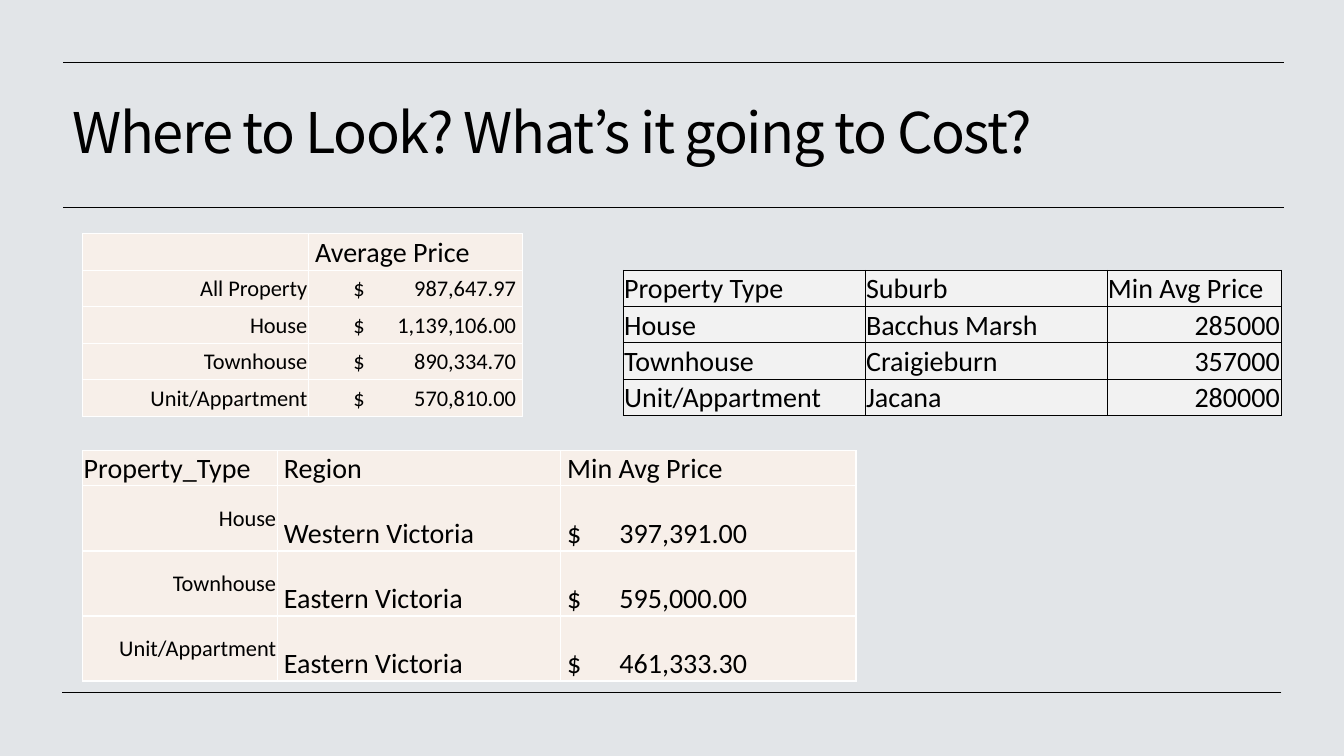
"""Build the property price slide with its three price tables."""
from dataclasses import dataclass

from lxml.etree import SubElement
from pptx import Presentation
from pptx.dml.color import RGBColor
from pptx.enum.shapes import MSO_CONNECTOR as Connector
from pptx.enum.text import MSO_ANCHOR as Anchor, PP_ALIGN as Align
from pptx.oxml.ns import qn
from pptx.util import Emu, Inches, Pt

COLORS = {
    "background": "E2E5E8",
    "ink": "000000",
    "white": "FFFFFF",
    "cream": "F7EFE9",
    "grey": "F2F2F2",
}
BODY_FONT = "Calibri"
TITLE_FONT = "Noto Sans CJK KR"
SLIDE_WIDTH, SLIDE_HEIGHT = Inches(13.33), Inches(7.5)
EDGE = 0.08
SPACED = 0.5


@dataclass(frozen=True)
class CellStyle:
    """Text layout of a cell, with inset and tab as percent of slide width."""
    align: Align = Align.LEFT
    anchor: Anchor = Anchor.BOTTOM
    size: int = 20
    inset: float = EDGE
    tab: float | None = None


@dataclass(frozen=True)
class Column:
    """A table column, with its width as percent of slide width."""
    width: float
    heading: str
    values: list[str]
    style: CellStyle
    heading_inset: float = EDGE


@dataclass(frozen=True)
class PriceTable:
    """A table placed by percent of the slide's size."""
    left: float
    top: float
    heading_height: float
    row_height: float
    fill: str
    border: str
    border_width: float
    columns: list[Column]


@dataclass(frozen=True)
class Rule:
    """A horizontal rule placed by percent of the slide's size."""
    left: float
    right: float
    y: float


PLAIN = CellStyle()
SPACED_TEXT = CellStyle(inset=SPACED)
NUMBER = CellStyle(align=Align.RIGHT)
LABEL = CellStyle(align=Align.RIGHT, anchor=Anchor.MIDDLE, size=16)
AVERAGE = CellStyle(anchor=Anchor.MIDDLE, size=16, inset=3.35, tab=12.1)
MINIMUM = CellStyle(inset=SPACED, tab=13.4)

PROPERTY_TYPES = ["House", "Townhouse", "Unit/Appartment"]

RULES = [Rule(4.65, 95.35, 91.6), Rule(4.72, 95.5, 27.47), Rule(4.72, 95.5, 8.27)]

TABLES = [
    PriceTable(6.15, 30.93, 4.83, 4.83, "cream", "white", 1, [
        Column(16.8, "", ["All Property", *PROPERTY_TYPES], LABEL),
        Column(15.9, "Average Price",
               ["$\t987,647.97", "$\t1,139,106.00", "$\t890,334.70", "$\t570,810.00"],
               AVERAGE, SPACED),
    ]),
    PriceTable(6.15, 59.6, 4.6, 8.6, "cream", "white", 1, [
        Column(14.48, "Property_Type", PROPERTY_TYPES, LABEL),
        Column(21.08, "Region",
               ["Western Victoria", "Eastern Victoria", "Eastern Victoria"],
               SPACED_TEXT, SPACED),
        Column(21.98, "Min Avg Price",
               ["$\t397,391.00", "$\t595,000.00", "$\t461,333.30"], MINIMUM, SPACED),
    ]),
    PriceTable(46.36, 35.73, 4.8, 4.8, "grey", "ink", 0.5, [
        Column(18, "Property Type", PROPERTY_TYPES, PLAIN),
        Column(18, "Suburb", ["Bacchus Marsh", "Craigieburn", "Jacana"], PLAIN),
        Column(12.95, "Min Avg Price", ["285000", "357000", "280000"], NUMBER),
    ]),
]


def across(percent: float) -> Emu:
    """Return a share of the slide width."""
    return Emu(round(SLIDE_WIDTH * percent / 100))


def down(percent: float) -> Emu:
    """Return a share of the slide height."""
    return Emu(round(SLIDE_HEIGHT * percent / 100))


def color(name: str) -> RGBColor:
    """Return a named colour."""
    return RGBColor.from_string(COLORS[name])


def draw_rule(slide, rule: Rule) -> None:
    """Draw one horizontal rule."""
    line = slide.shapes.add_connector(
        Connector.STRAIGHT, across(rule.right), down(rule.y), across(rule.left), down(rule.y))
    line.line.color.rgb = color("ink")
    line.line.width = Pt(0.5)
    SubElement(line._element.spPr, qn("a:effectLst"))


def draw_title(slide, wording: str) -> None:
    """Place and format the slide title."""
    title = slide.shapes.title
    title.left, title.top = across(4.65), down(10)
    title.width, title.height = across(90.6), down(15.87)
    frame = title.text_frame
    frame.text = wording
    frame.word_wrap = True
    frame.vertical_anchor = Anchor.MIDDLE
    heading = frame.paragraphs[0]
    heading.alignment = Align.LEFT
    heading.line_spacing = 0.9
    heading.font.size = Pt(40)
    heading.font.name = TITLE_FONT
    heading.font.color.rgb = color("ink")
    heading.runs[0]._r.get_or_add_rPr().set("spc", "-100")


def add_borders(cell, border: str, width: float) -> None:
    """Give a cell the same border on all four sides."""
    properties = cell._tc.get_or_add_tcPr()
    for side in ("a:lnL", "a:lnR", "a:lnT", "a:lnB"):
        edge = SubElement(properties, qn(side), w=str(Pt(width)))
        SubElement(SubElement(edge, qn("a:solidFill")), qn("a:srgbClr"), val=COLORS[border])


def fill_cell(cell, wording: str, style: CellStyle, table: PriceTable) -> None:
    """Write and format one table cell."""
    add_borders(cell, table.border, table.border_width)
    cell.fill.solid()
    cell.fill.fore_color.rgb = color(table.fill)
    cell.margin_left, cell.margin_right = across(style.inset), across(EDGE)
    cell.margin_top, cell.margin_bottom = Inches(0.01), 0
    cell.vertical_anchor = style.anchor
    cell.text = wording
    paragraph = cell.text_frame.paragraphs[0]
    paragraph.alignment = style.align
    if style.tab is not None:
        tabs = SubElement(paragraph._p.get_or_add_pPr(), qn("a:tabLst"))
        SubElement(tabs, qn("a:tab"), pos=str(across(style.tab)), algn="r")
    paragraph.font.size = Pt(style.size)
    paragraph.font.name = BODY_FONT
    paragraph.font.color.rgb = color("ink")


def draw_table(slide, table: PriceTable) -> None:
    """Draw one price table."""
    value_count = len(table.columns[0].values)
    heights = [table.heading_height] + [table.row_height] * value_count
    grid = slide.shapes.add_table(
        len(heights), len(table.columns), across(table.left), down(table.top),
        across(sum(column.width for column in table.columns)), down(sum(heights))).table
    grid.first_row = grid.horz_banding = False
    for row, height in zip(grid.rows, heights):
        row.height = down(height)
    for position, column in enumerate(table.columns):
        grid.columns[position].width = across(column.width)
        heading_style = CellStyle(inset=column.heading_inset)
        fill_cell(grid.cell(0, position), column.heading, heading_style, table)
        for row_number, value in enumerate(column.values, start=1):
            fill_cell(grid.cell(row_number, position), value, column.style, table)


def main() -> None:
    """Build and save the presentation."""
    deck = Presentation()
    deck.slide_width, deck.slide_height = SLIDE_WIDTH, SLIDE_HEIGHT
    slide = deck.slides.add_slide(deck.slide_layouts.get_by_name("Title Only"))
    slide.background.fill.solid()
    slide.background.fill.fore_color.rgb = color("background")
    for rule in RULES:
        draw_rule(slide, rule)
    draw_title(slide, "Where to Look? What’s it going to Cost?")
    for table in TABLES:
        draw_table(slide, table)
    deck.save("out.pptx")


if __name__ == "__main__":
    main()
